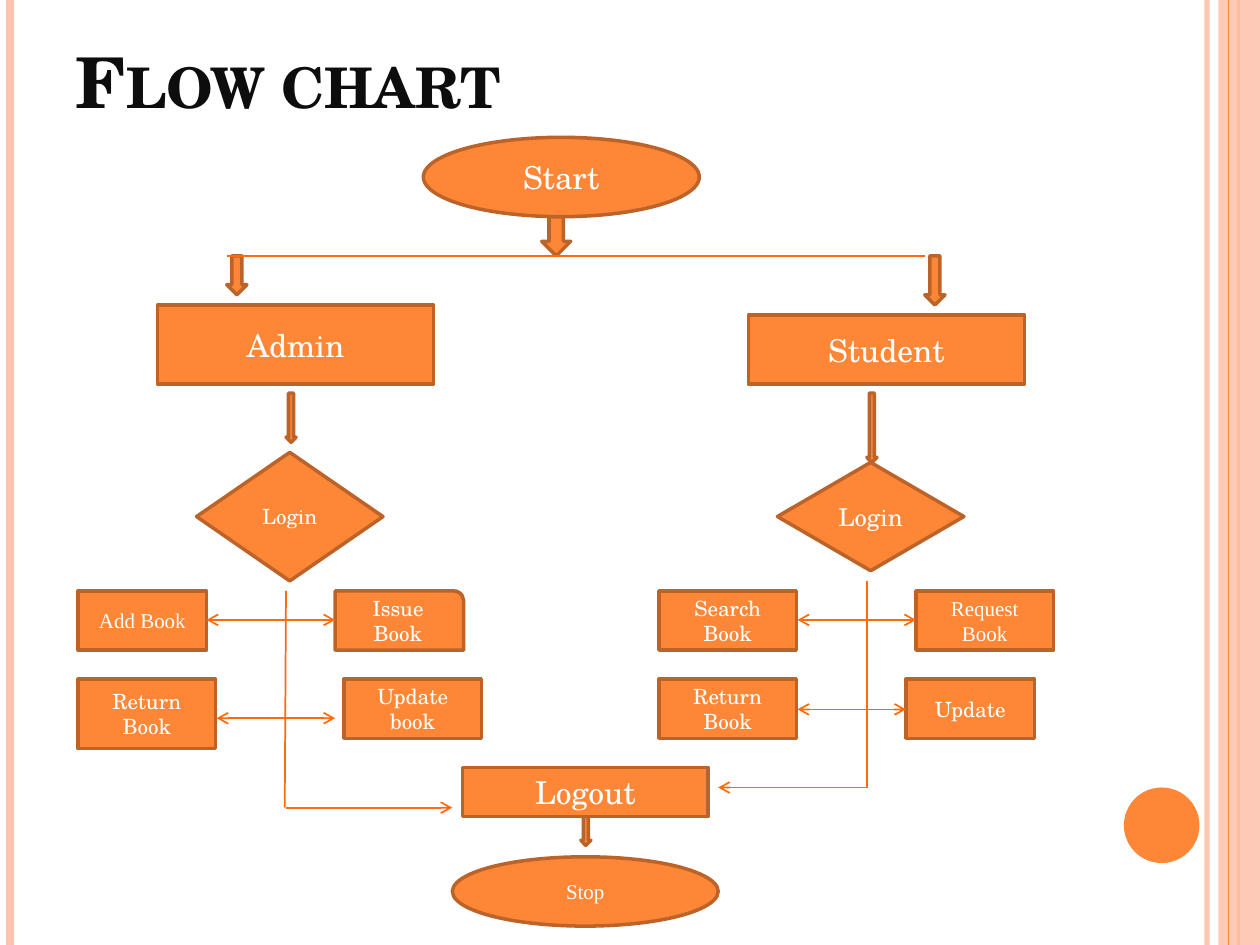
from typing import NamedTuple

from lxml import etree
from pptx import Presentation
from pptx.dml.color import RGBColor
from pptx.enum.shapes import MSO_CONNECTOR, MSO_SHAPE
from pptx.enum.text import MSO_ANCHOR, PP_ALIGN
from pptx.oxml.ns import qn
from pptx.util import Inches, Pt

RECTANGLE = MSO_SHAPE.RECTANGLE
OVAL = MSO_SHAPE.OVAL
DIAMOND = MSO_SHAPE.DIAMOND
ROUNDED_CORNER = MSO_SHAPE.ROUND_1_RECTANGLE
DOWN_ARROW = MSO_SHAPE.DOWN_ARROW
STRAIGHT = MSO_CONNECTOR.STRAIGHT
CENTER = PP_ALIGN.CENTER
LEFT = PP_ALIGN.LEFT
MIDDLE = MSO_ANCHOR.MIDDLE
BOTTOM = MSO_ANCHOR.BOTTOM

SERIF = "TeX Gyre Schola"
TIMES = "Times New Roman"
COLORS = {
    "orange": "FE8637",
    "outline": "BC6329",
    "link": "FF6B0A",
    "peach": "FEC3AE",
    "title": "0D0D0D",
    "white": "FFFFFF",
}
SLIDE_WIDTH, SLIDE_HEIGHT = 10, 7.5
ROW_TOPS = (4.69, 5.39)


class Node(NamedTuple):
    text: str
    left: float
    top: float
    width: float
    height: float
    kind: MSO_SHAPE = RECTANGLE
    size: float = 12
    font: str = SERIF


class Arrow(NamedTuple):
    left: float
    top: float
    width: float
    height: float


class Link(NamedTuple):
    start: tuple[float, float]
    end: tuple[float, float]
    head: bool = False
    tail: bool = False


class Stripe(NamedTuple):
    x: float
    width: float
    color: str
    opacity: int = 100


STRIPES = [
    Stripe(9.58, 3, "peach", 93),
    Stripe(0.08, 4.5, "peach"),
    Stripe(9.83, 1.5, "orange"),
]
THIN_STRIPE = Stripe(9.75, 0.75, "orange")

NODES = [
    Node("Start", 3.36, 1.09, 2.19, 0.63, OVAL, 18),
    Node("Stop", 3.59, 6.8, 2.11, 0.55, OVAL, font=TIMES),
    Node("Admin", 1.25, 2.42, 2.19, 0.63, size=18),
    Node("Student", 5.94, 2.5, 2.19, 0.55, size=18),
    Node("Add Book", 0.62, ROW_TOPS[0], 1.02, 0.47, font=TIMES),
    Node("Return Book", 0.62, ROW_TOPS[1], 1.09, 0.55),
    Node("Issue Book", 2.66, ROW_TOPS[0], 1.02, 0.47, ROUNDED_CORNER),
    Node("Update book", 2.73, ROW_TOPS[1], 1.09, 0.47),
    Node("Search Book", 5.23, ROW_TOPS[0], 1.09, 0.47),
    Node("Return Book", 5.23, ROW_TOPS[1], 1.09, 0.47),
    Node("Request Book", 7.27, ROW_TOPS[0], 1.09, 0.47, font=TIMES),
    Node("Update", 7.19, ROW_TOPS[1], 1.02, 0.47),
    Node("Login", 1.56, 3.59, 1.48, 1.02, DIAMOND),
    Node("Login", 6.17, 3.67, 1.48, 0.86, DIAMOND, 14),
    Node("Logout", 3.67, 6.09, 1.95, 0.39, size=18),
]

START_ARROW = Arrow(4.3, 1.72, 0.23, 0.31)
ARROWS = [
    Arrow(1.8, 2.03, 0.16, 0.31),
    Arrow(7.34, 2.03, 0.16, 0.39),
    Arrow(6.88, 3.12, 0.08, 0.55),
    Arrow(2.27, 3.12, 0.08, 0.39),
    Arrow(4.61, 6.48, 0.08, 0.23),
]

LINKS = [
    Link((1.8, 2.03), (7.34, 2.03)),
    Link((2.27, 4.69), (2.26, 6.41)),
    Link((6.88, 4.61), (6.88, 6.25)),
    Link((2.27, 6.41), (3.59, 6.41), tail=True),
    Link((6.88, 6.25), (5.7, 6.25), tail=True),
    Link((1.64, 4.92), (2.66, 4.92), head=True, tail=True),
    Link((1.72, 5.7), (2.66, 5.7), head=True, tail=True),
    Link((6.33, 4.92), (7.27, 4.92), head=True, tail=True),
    Link((6.33, 5.63), (7.19, 5.63), head=True, tail=True),
]


def color(name: str) -> RGBColor:
    return RGBColor.from_string(COLORS[name])


def set_opacity(element, percent: int) -> None:
    """Make the colour inside a fill or line see-through."""
    rgb = element.find(f".//{qn('a:srgbClr')}")
    etree.SubElement(rgb, qn("a:alpha"), val=str(percent * 1000))


def add_line(slide, start, end, color_name: str, width: float):
    line = slide.shapes.add_connector(STRAIGHT, *map(Inches, (*start, *end)))
    line.line.color.rgb = color(color_name)
    line.line.width = Pt(width)
    etree.SubElement(line._element.spPr, qn("a:effectLst"))
    return line


def add_stripe(slide, stripe: Stripe) -> None:
    line = add_line(slide, (stripe.x, 0), (stripe.x, SLIDE_HEIGHT), stripe.color, stripe.width)
    if stripe.opacity < 100:
        set_opacity(line._element.spPr, stripe.opacity)


def add_link(slide, link: Link) -> None:
    line = add_line(slide, link.start, link.end, "link", 1)
    outline = line.line._get_or_add_ln()
    for tag, wanted in (("a:headEnd", link.head), ("a:tailEnd", link.tail)):
        if wanted:
            etree.SubElement(outline, qn(tag), type="arrow")


def add_filled(slide, kind: MSO_SHAPE, box, fill: str = "orange", outlined: bool = True):
    shape = slide.shapes.add_shape(kind, *map(Inches, box))
    shape.shadow.inherit = False
    shape.fill.solid()
    shape.fill.fore_color.rgb = color(fill)
    if outlined:
        shape.line.color.rgb = color("outline")
        shape.line.width = Pt(2)
    else:
        shape.line.fill.background()
    return shape


def format_text(shape, text: str, font: str, size: float, color_name: str, alignment, anchor) -> None:
    frame = shape.text_frame
    frame.word_wrap = True
    frame.vertical_anchor = anchor
    paragraph = frame.paragraphs[0]
    paragraph.text = text
    paragraph.alignment = alignment
    paragraph.font.name = font
    paragraph.font.size = Pt(size)
    paragraph.font.color.rgb = color(color_name)


def add_node(slide, node: Node) -> None:
    box = (node.left, node.top, node.width, node.height)
    shape = add_filled(slide, node.kind, box)
    format_text(shape, node.text, node.font, node.size, "white", CENTER, MIDDLE)


def add_side_decoration(slide) -> None:
    for stripe in STRIPES:
        add_stripe(slide, stripe)
    band = add_filled(slide, RECTANGLE, (9.67, 0, 0.33, SLIDE_HEIGHT), "peach", outlined=False)
    set_opacity(band._element.spPr, 87)
    add_stripe(slide, THIN_STRIPE)
    add_filled(slide, OVAL, (8.92, 6.25, 0.6, 0.6), outlined=False)


def set_title(slide, text: str) -> None:
    title = slide.shapes.title
    title.left, title.top, title.width, title.height = map(Inches, (0.5, 0, 6.92, 1.02))
    format_text(title, text, SERIF, 40, "title", LEFT, BOTTOM)
    paragraph = title.text_frame.paragraphs[0]
    paragraph.font.bold = True
    paragraph.runs[0]._r.get_or_add_rPr().set("cap", "small")


def main() -> None:
    presentation = Presentation()
    presentation.slide_width = Inches(SLIDE_WIDTH)
    presentation.slide_height = Inches(SLIDE_HEIGHT)
    slide = presentation.slides.add_slide(presentation.slide_layouts[5])
    add_side_decoration(slide)
    set_title(slide, "Flow chart")
    for arrow in [START_ARROW, *ARROWS]:
        add_filled(slide, DOWN_ARROW, arrow)
    for node in NODES:
        add_node(slide, node)
    for link in LINKS:
        add_link(slide, link)
    presentation.save("out.pptx")


if __name__ == "__main__":
    main()
